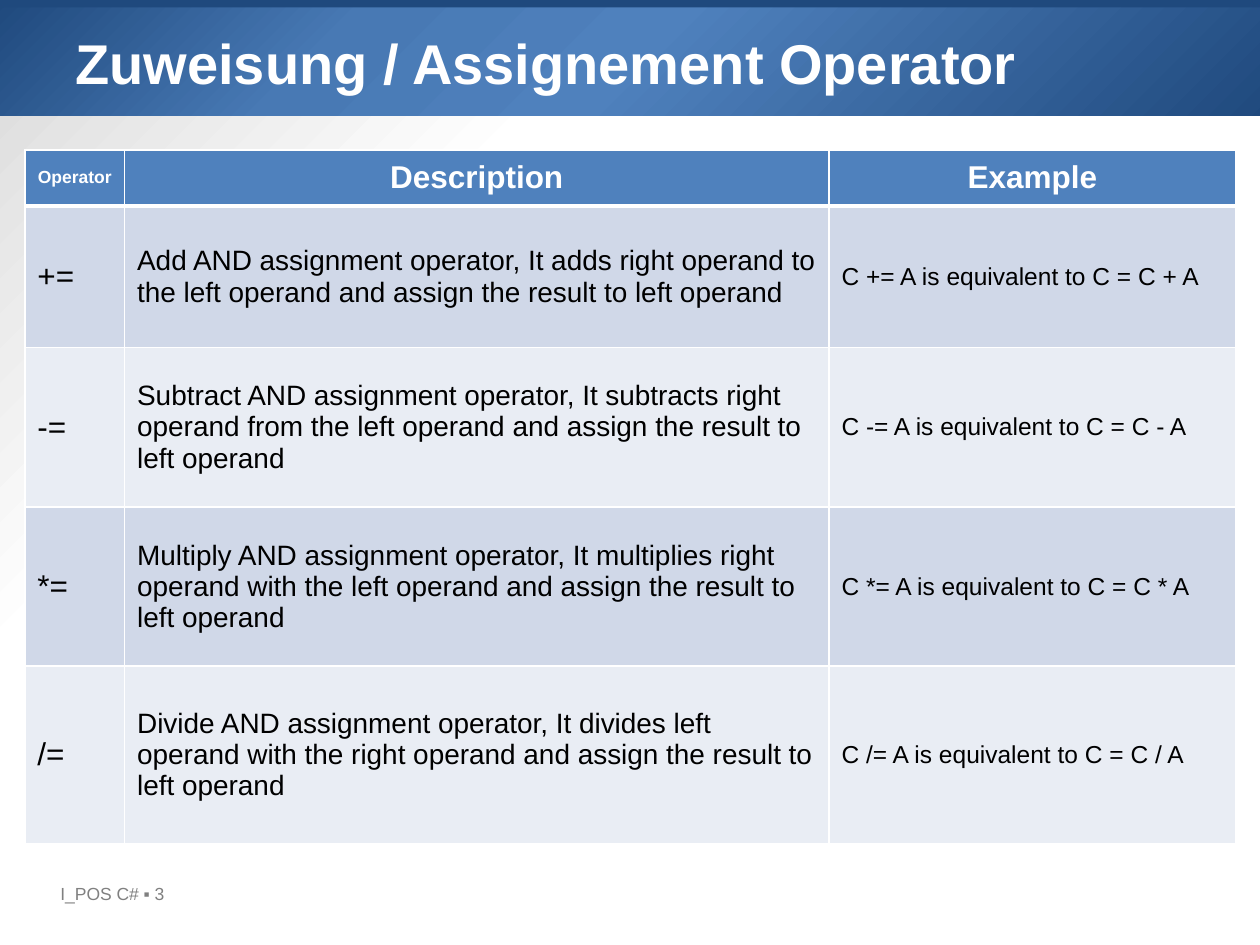
from lxml.etree import SubElement
from pptx import Presentation
from pptx.dml.color import RGBColor
from pptx.enum.shapes import MSO_SHAPE
from pptx.enum.text import MSO_ANCHOR, PP_ALIGN
from pptx.oxml.ns import qn
from pptx.util import Pt

NAVY = RGBColor(0x1F, 0x49, 0x7D)
MID_BLUE = RGBColor(0x48, 0x79, 0xB4)
BLUE = RGBColor(0x4F, 0x81, 0xBD)
WHITE = RGBColor(0xFF, 0xFF, 0xFF)
BLACK = RGBColor(0x00, 0x00, 0x00)
GRAY = RGBColor(0x80, 0x80, 0x80)
LIGHT_GRAY = RGBColor(0xD9, 0xD9, 0xD9)
DARK_ROW = RGBColor(0xD0, 0xD8, 0xE8)
LIGHT_ROW = RGBColor(0xE9, 0xED, 0xF4)


def set_circle_gradient(fill, parent, stops, focus):
    """Fill with rings of colour around the corner named by the focus sides."""
    fill.gradient()
    gradient = parent.find(".//" + qn("a:gradFill"))
    for child in list(gradient):
        gradient.remove(child)
    stop_list = SubElement(gradient, qn("a:gsLst"))
    for percent, color in stops:
        stop = SubElement(stop_list, qn("a:gs"), pos=str(percent * 1000))
        SubElement(stop, qn("a:srgbClr"), val=str(color))
    ring = SubElement(gradient, qn("a:path"), path="circle")
    SubElement(ring, qn("a:fillToRect"), {side: "100000" for side in focus})


def write_text(frame, text, size, color, bold=False, align=PP_ALIGN.LEFT):
    frame.word_wrap = True
    paragraph = frame.paragraphs[0]
    paragraph.alignment = align
    run = paragraph.add_run()
    run.text = text
    run.font.name = "Arial"
    run.font.size = Pt(size)
    run.font.bold = bold
    run.font.color.rgb = color


presentation = Presentation()
presentation.slide_width, presentation.slide_height = Pt(720), Pt(540)
slide = presentation.slides.add_slide(presentation.slide_layouts[6])
shapes = slide.shapes
set_circle_gradient(slide.background.fill, slide.element,
                    [(70, WHITE), (100, LIGHT_GRAY)], focus="lt")

# Header band with a dark strip along its top edge
band = shapes.add_shape(MSO_SHAPE.RECTANGLE, Pt(-0.7), Pt(-0.7), Pt(728.6), Pt(67))
set_circle_gradient(band.fill, band.element,
                    [(0, NAVY), (27, MID_BLUE), (50, BLUE), (100, NAVY)], focus="rb")
strip = shapes.add_shape(MSO_SHAPE.RECTANGLE, Pt(-0.7), Pt(-2.2), Pt(728.6), Pt(6.5))
strip.fill.solid()
strip.fill.fore_color.rgb = NAVY
for shape in (band, strip):
    shape.line.fill.background()
    shape.shadow.inherit = False

footer = shapes.add_textbox(Pt(27.4), Pt(501), Pt(134), Pt(18.7))
write_text(footer.text_frame, "I_POS C# ▪ 3", 10, GRAY)
title = shapes.add_textbox(Pt(36), Pt(10), Pt(648), Pt(90))
title.text_frame.margin_top = Pt(6.5)
write_text(title.text_frame, "Zuweisung / Assignement Operator", 32, WHITE, bold=True)

# Operator table
headings = ["Operator", "Description", "Example"]
operators = [
    ("+", "Add AND assignment operator, It adds right operand to the left operand"),
    ("-", "Subtract AND assignment operator, It subtracts right operand from the left operand"),
    ("*", "Multiply AND assignment operator, It multiplies right operand with the left operand"),
    ("/", "Divide AND assignment operator, It divides left operand with the right operand"),
]
rows = [headings] + [
    (f"{sign}=", f"{action} and assign the result to left operand",
     f"C {sign}= A is equivalent to C = C {sign} A")
    for sign, action in operators
]
column_widths = [57, 402.5, 232.5]
row_heights = [32, 81, 91, 91, 101.5]
header_sizes = [10, 18, 18]
body_sizes = [18, 16, 14]

table = shapes.add_table(len(rows), len(headings), Pt(14.2), Pt(85.7),
                         Pt(sum(column_widths)), Pt(sum(row_heights))).table
for column, width in zip(table.columns, column_widths):
    column.width = Pt(width)
for row, height in zip(table.rows, row_heights):
    row.height = Pt(height)

for row_index, texts in enumerate(rows):
    is_header = row_index == 0
    row_fill = BLUE if is_header else DARK_ROW if row_index % 2 else LIGHT_ROW
    for column_index, text in enumerate(texts):
        cell = table.cell(row_index, column_index)
        cell.vertical_anchor = MSO_ANCHOR.MIDDLE
        if is_header:
            write_text(cell.text_frame, text, header_sizes[column_index], WHITE,
                       bold=True, align=PP_ALIGN.CENTER)
        else:
            write_text(cell.text_frame, text, body_sizes[column_index], BLACK)
        # Borders come before the fill in the cell properties
        properties = cell._tc.get_or_add_tcPr()
        for side in "LRTB":
            thick = (is_header and side == "B") or (row_index == 1 and side == "T")
            border = SubElement(properties, qn(f"a:ln{side}"), w=str(Pt(3 if thick else 1)))
            solid = SubElement(border, qn("a:solidFill"))
            SubElement(solid, qn("a:srgbClr"), val=str(WHITE))
        cell.fill.solid()
        cell.fill.fore_color.rgb = row_fill

presentation.save("out.pptx")
